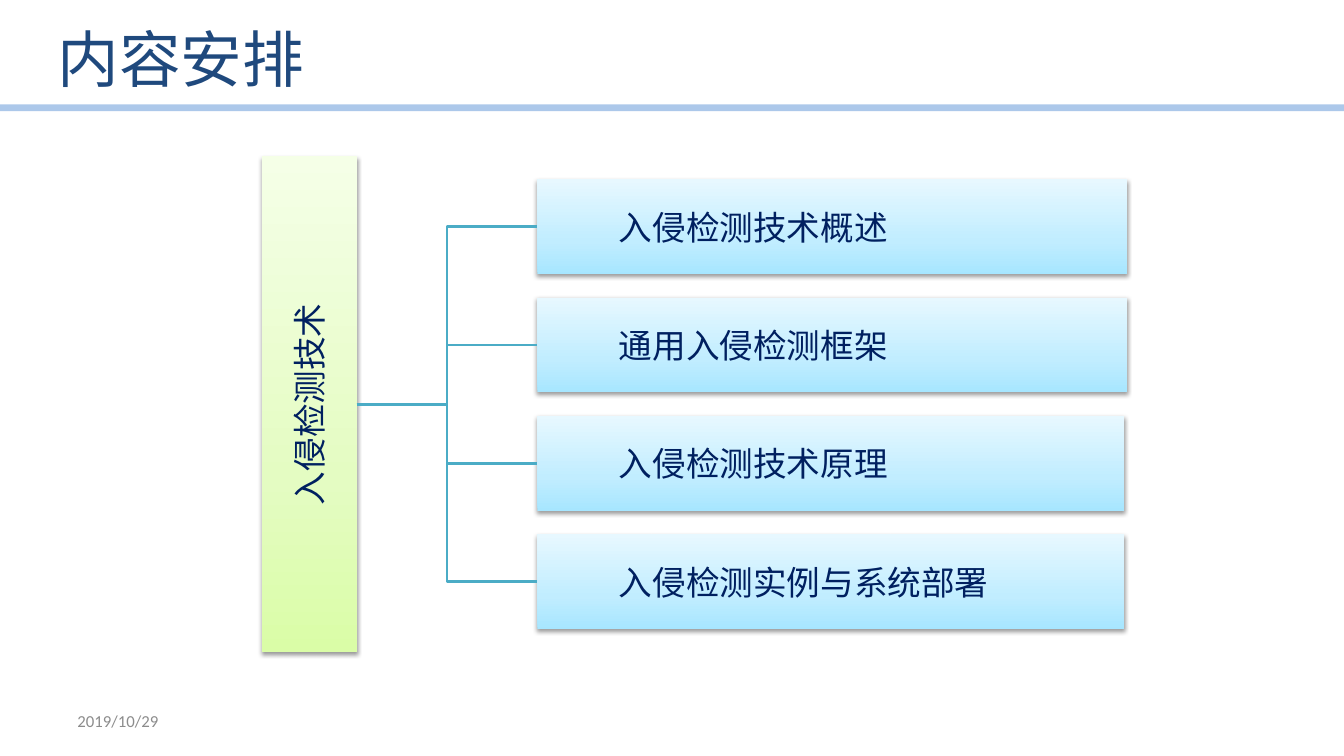
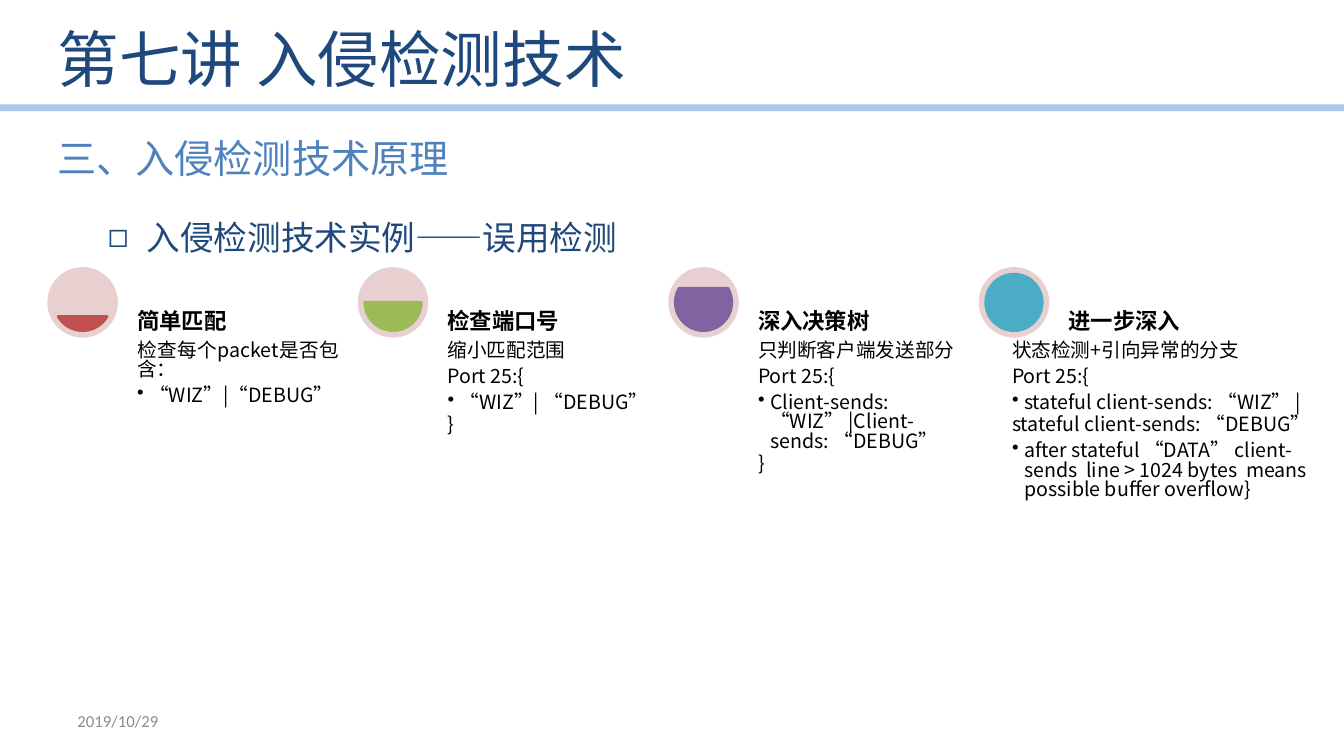
from copy import deepcopy
from lxml.etree import SubElement
from pptx import Presentation
from pptx.dml.color import RGBColor
from pptx.enum.shapes import MSO_CONNECTOR, MSO_SHAPE
from pptx.enum.text import MSO_ANCHOR, MSO_AUTO_SIZE, PP_ALIGN
from pptx.oxml.ns import qn
from pptx.util import Inches, Pt

FONT = "Noto Sans CJK SC"
NAVY, DEEP, BLUE, TEAL = "1F497D", "002060", "4F81BD", "4BACC6"
BAND, ROSE, GREY, BLACK = "8EB4E3", "E8D0D0", "8C8C8C", "000000"
GREEN = ("DAFDA7", "E4FCC2", "F5FFE7")
SKY = ("A7E6FF", "C1EDFF", "E7F8FF")
COLS, ROWS = 133.33, 75
MARKS = {"•": (1.2, -1.2), "◻": (8.1, -3.1)}
tint = RGBColor.from_string


def grid(*cells):
    return [Inches(cell / 10) for cell in cells]


def write(frame, lines, size, color, font=FONT, bold=False, pad=None,
          anchor=MSO_ANCHOR.TOP, align=PP_ALIGN.LEFT, wrap=True):
    frame.word_wrap = wrap
    frame.auto_size = MSO_AUTO_SIZE.NONE
    frame.vertical_anchor = anchor
    if pad is not None:
        frame.margin_left = frame.margin_right = Inches(pad)
        frame.margin_top = frame.margin_bottom = Inches(pad)
    for i, line in enumerate(lines):
        para = frame.paragraphs[0] if i == 0 else frame.add_paragraph()
        mark = line[0] if line[0] in MARKS else ""
        para.text = line[len(mark):]
        para.alignment = align if i == 0 else PP_ALIGN.LEFT
        face = para.font
        face.size, face.bold, face.name = Pt(size), bold, font
        face.color.rgb = tint(color)
        props = para._p.get_or_add_pPr()
        SubElement(props.find(qn("a:defRPr")), qn("a:ea"), typeface=font)
        if mark:
            para.level = 1
            left, hang = grid(*MARKS[mark])
            props.set("marL", str(left))
            props.set("indent", str(hang))
            char = SubElement(props, qn("a:buChar"), char=mark)
            props.find(qn("a:defRPr")).addprevious(char)
    return frame.paragraphs


deck = Presentation()
deck.slide_width, deck.slide_height = grid(COLS, ROWS)
master = deck.slide_master
head = master.placeholders[0]
head.left, head.top, head.width, head.height = grid(4.7, 0.9, 110.2, 9.7)

plan = deck.slides.add_slide(deck.slide_layouts[5])
cases = deck.slides.add_slide(deck.slide_layouts[1])

band = plan.shapes.add_connector(MSO_CONNECTOR.STRAIGHT, *grid(0, 10.7, COLS, 10.7))
band.line.width = Pt(4.75)
band.line.color.rgb = tint(BAND)
SubElement(band.element.spPr.find(".//" + qn("a:srgbClr")), qn("a:alpha"), val="73000")
SubElement(band.element.spPr, qn("a:effectLst"))
master.shapes.element.append(band.element)

for slide, name in ((plan, "内容安排"), (cases, "第七讲 入侵检测技术")):
    write(slide.shapes.title.text_frame, [name], 44, NAVY, anchor=MSO_ANCHOR.MIDDLE)
    date = slide.shapes.add_textbox(*grid(6.7, 69.5, 31.1, 4))
    write(date.text_frame, ["2019/10/29"], 12, GREY, "Calibri", anchor=MSO_ANCHOR.MIDDLE)

topics = ["入侵检测技术概述", "通用入侵检测框架", "入侵检测技术原理", "入侵检测实例与系统部署"]
blocks = [("入侵检测技术", 26, 15.5, 9.4, 49.2, GREEN)]
for i, topic in enumerate(topics):
    blocks.append((topic, 53.3, 17.8 + 11.74 * i, 58.5 if i < 2 else 58.2, 9.4, SKY))

boxes = []
for text, x, y, w, h, shades in blocks:
    box = plan.shapes.add_shape(MSO_SHAPE.RECTANGLE, *grid(x, y, w, h))
    box.line.fill.background()
    box.fill.gradient()
    box.fill.gradient_angle = 90
    stops = box.element.spPr.find(".//" + qn("a:gsLst"))
    stops.insert(1, deepcopy(stops[0]))
    for stop, spot, shade in zip(box.fill.gradient_stops, (0, 0.35, 1), shades):
        stop.position = spot
        stop.color.rgb = tint(shade)
    box.shadow.inherit = False
    glow = SubElement(box.element.spPr.find(qn("a:effectLst")), qn("a:outerShdw"),
                      blurRad=str(Pt(3.1)), dist=str(Pt(1.6)), dir="5400000", rotWithShape="0")
    SubElement(SubElement(glow, qn("a:srgbClr"), val=BLACK), qn("a:alpha"), val="38000")
    root = shades is GREEN
    write(box.text_frame, [text], 24, DEEP, pad=0.02, anchor=MSO_ANCHOR.MIDDLE,
          align=PP_ALIGN.CENTER if root else PP_ALIGN.LEFT)
    if root:
        box.text_frame._txBody.bodyPr.set("vert", "vert270")
    else:
        box.text_frame.margin_left = Inches(0.81)
    boxes.append(box)

for box in boxes[1:]:
    link = plan.shapes.add_connector(MSO_CONNECTOR.ELBOW, 0, 0, 0, 0)
    link.begin_connect(boxes[0], 3)
    link.end_connect(box, 1)
    link.line.width = Pt(2)
    link.line.color.rgb = tint(TEAL)
    SubElement(link.element.spPr, qn("a:effectLst"))

body = cases.placeholders[1]
body.left, body.top, body.width, body.height = grid(4.7, 20.2, 122.8, 44.1)
item = write(body.text_frame, ["◻ 入侵检测技术实例——误用检测"], 24, NAVY, align=PP_ALIGN.JUSTIFY)[0]
item.line_spacing, item.space_before = 1.2, Pt(4.8)
part = cases.shapes.add_textbox(*grid(4.7, 12.8, 41.3, 5.7))
write(part.text_frame, ["三、入侵检测技术原理"], 28, BLUE, wrap=False)

cards = [
    ("简单匹配", "C0504D", (18, 90), 13.2, 20.8,
     ["检查每个packet是否包含：", "•“WIZ”|“DEBUG”"]),
    ("检查端口号", "9BBB59", (0, 108), 44, 20.8,
     ["缩小匹配范围", "Port 25:{", "•“WIZ”| “DEBUG”", "}"]),
    ("深入决策树", "8064A2", (198, 126), 74.8, 20.8,
     ["只判断客户端发送部分", "Port 25:{", "•Client-sends: “WIZ” |Client-sends: “DEBUG”", "}"]),
    ("进一步深入", TEAL, (162, 162), 100, 32.2,
     ["状态检测+引向异常的分支", "Port 25:{", "•stateful client-sends: “WIZ” |",
      "stateful client-sends: “DEBUG”",
      "•after stateful “DATA” client-sends  line > 1024 bytes  means possible buffer overflow}"]),
]
for i, (name, color, arc, x, w, lines) in enumerate(cards):
    left = 4.7 + 30.8 * i
    disc = cases.shapes.add_shape(MSO_SHAPE.OVAL, *grid(left, 26.5, 7, 7))
    level = cases.shapes.add_shape(MSO_SHAPE.CHORD, *grid(left + 0.7, 27.2, 5.6, 5.6))
    level.adjustments[0], level.adjustments[1] = arc
    for dot, shade in ((disc, ROSE), (level, color)):
        dot.shadow.inherit = False
        dot.fill.solid()
        dot.fill.fore_color.rgb = tint(shade)
    disc.line.fill.background()
    level.line.width = Pt(2)
    level.line.color.rgb = tint(color)
    label = cases.shapes.add_textbox(*grid(left + 8.5, 26.5, 20.8, 7))
    write(label.text_frame, [name], 16, BLACK, bold=True, pad=0.04,
          anchor=MSO_ANCHOR.BOTTOM, align=PP_ALIGN.JUSTIFY)
    note = cases.shapes.add_textbox(*grid(x, 33.5, w, 29.6))
    for para in write(note.text_frame, lines, 14, BLACK, pad=0.04, align=PP_ALIGN.JUSTIFY):
        para.line_spacing = 0.82
        para.space_after = Pt(2.1 if para.level else 4.9)

deck.save("out.pptx")
